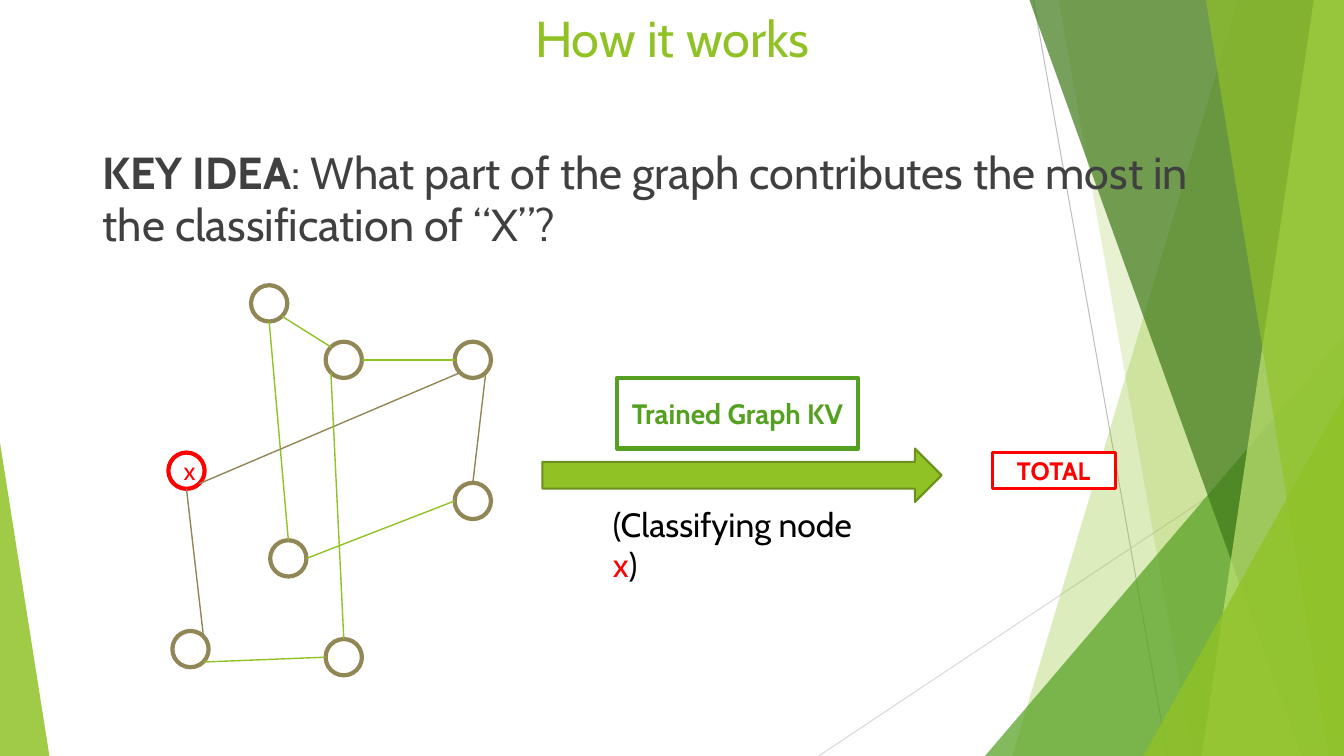
from typing import NamedTuple

from lxml import etree
from pptx import Presentation
from pptx.dml.color import RGBColor
from pptx.enum.shapes import MSO_CONNECTOR, MSO_SHAPE
from pptx.enum.text import MSO_ANCHOR, PP_ALIGN
from pptx.oxml.ns import qn
from pptx.util import Inches, Pt

STRAIGHT = MSO_CONNECTOR.STRAIGHT
TRIANGLE, OVAL = MSO_SHAPE.ISOSCELES_TRIANGLE, MSO_SHAPE.OVAL
RECTANGLE, RIGHT_ARROW = MSO_SHAPE.RECTANGLE, MSO_SHAPE.RIGHT_ARROW
TOP, MIDDLE = MSO_ANCHOR.TOP, MSO_ANCHOR.MIDDLE
LEFT, CENTER = PP_ALIGN.LEFT, PP_ALIGN.CENTER

FONT = "Cabin"
WIDTH, HEIGHT = 13.33, 7.5
COLORS = {
    "lime": "90C226", "pale": "C0E474", "green": "54A021", "forest": "3F7819",
    "olive": "918655", "moss": "6B901C", "red": "FF0000", "text": "404040",
    "black": "000000", "white": "FFFFFF", "gray": "BFBFBF", "silver": "D9D9D9",
}
DIAMETER = 0.36
DIAGONAL = 0.71
# Unit directions from a node's centre to the points where edges attach
SITES = {
    "top": (0, -1), "bottom": (0, 1), "left": (-1, 0), "right": (1, 0),
    "top left": (-DIAGONAL, -DIAGONAL), "top right": (DIAGONAL, -DIAGONAL),
    "bottom left": (-DIAGONAL, DIAGONAL), "bottom right": (DIAGONAL, DIAGONAL),
}


class Shard(NamedTuple):
    """A band that reaches from a slanted left side to the slide's right side."""
    top_x: float
    bottom_x: float
    color: str
    opacity: int


class Wedge(NamedTuple):
    """A right triangle standing on the bottom of the slide."""
    left: float
    top: float
    width: float
    apex: float
    color: str
    opacity: int


class Node(NamedTuple):
    left: float
    top: float
    color: str = "olive"


class Edge(NamedTuple):
    start: str
    start_site: str
    end: str
    end_site: str
    color: str = "lime"


class Span(NamedTuple):
    text: str
    color: str
    bold: bool = False


BACKDROP = [
    Shard(12.28, 10.04, "lime", 30),
    Shard(10.5, 11.83, "lime", 20),
    Wedge(9.77, 3.33, 3.56, 1, "green", 72),
    Shard(10.21, 12.91, "forest", 70),
    Shard(13.03, 11.92, "pale", 70),
    Shard(11.96, 13.18, "lime", 65),
    Wedge(11.34, 3.93, 1.99, 1, "lime", 80),
    Wedge(0, 4.39, 0.49, 0, "lime", 85),
]
NODES = {
    "x": Node(1.67, 4.49, "red"),
    "peak": Node(2.49, 2.83),
    "east": Node(4.51, 4.79),
    "hub": Node(3.23, 3.39),
    "southwest": Node(1.71, 6.26),
    "inner": Node(2.68, 5.36),
    "northeast": Node(4.51, 3.39),
    "south": Node(3.23, 6.34),
}
EDGES = [
    Edge("peak", "bottom", "inner", "top"),
    Edge("x", "bottom right", "northeast", "bottom left", "olive"),
    Edge("northeast", "bottom right", "east", "top", "olive"),
    Edge("southwest", "top right", "x", "bottom", "olive"),
    Edge("southwest", "bottom right", "south", "left"),
    Edge("inner", "right", "east", "left"),
    Edge("hub", "right", "northeast", "left"),
    Edge("hub", "top left", "peak", "bottom right"),
    Edge("hub", "bottom left", "south", "top"),
]


def rgb(name: str) -> RGBColor:
    return RGBColor.from_string(COLORS[name])


def paint(shape, fill: str = "", line: str = "", line_width: float = 1, opacity: int = 100) -> None:
    shape.shadow.inherit = False
    if fill:
        shape.fill.solid()
        shape.fill.fore_color.rgb = rgb(fill)
        if opacity < 100:
            color = shape.fill._xPr.find(qn("a:solidFill"))[0]
            etree.SubElement(color, qn("a:alpha"), val=str(opacity * 1000))
    else:
        shape.fill.background()
    if line:
        shape.line.color.rgb = rgb(line)
        shape.line.width = Pt(line_width)
    else:
        shape.line.fill.background()


def add_line(page, start: tuple, end: tuple, color: str, width: float) -> None:
    ends = [Inches(value) for value in (*start, *end)]
    line = page.shapes.add_connector(STRAIGHT, *ends)
    line.line.color.rgb = rgb(color)
    line.line.width = Pt(width)
    etree.SubElement(line._element.spPr, qn("a:effectLst"))


def add_shape(page, kind, left: float, top: float, width: float, height: float):
    return page.shapes.add_shape(kind, Inches(left), Inches(top), Inches(width), Inches(height))


def write(box, spans: list[Span], size: float, align=CENTER, anchor=MIDDLE, spacing: float = 1) -> None:
    frame = box.text_frame
    frame.word_wrap = True
    frame.vertical_anchor = anchor
    para = frame.paragraphs[0]
    para.alignment = align
    para.line_spacing = spacing
    para.font.name = FONT
    para.font.size = Pt(size)
    for span in spans:
        run = para.add_run()
        run.text = span.text
        run.font.bold = span.bold
        run.font.color.rgb = rgb(span.color)


def add_text(page, left: float, top: float, width: float, height: float,
             spans: list[Span], size: float, align=LEFT, spacing: float = 1) -> None:
    box = page.shapes.add_textbox(Inches(left), Inches(top), Inches(width), Inches(height))
    write(box, spans, size, align, TOP, spacing)


def add_backdrop(page) -> None:
    add_line(page, (10.25, 0), (11.58, HEIGHT), "gray", 0.75)
    add_line(page, (WIDTH, 4.03), (8.12, HEIGHT), "silver", 0.75)
    for part in BACKDROP:
        if isinstance(part, Shard):
            builder = page.shapes.build_freeform(Inches(part.top_x), 0)
            corners = [(WIDTH, 0), (WIDTH, HEIGHT), (part.bottom_x, HEIGHT)]
            builder.add_line_segments([(Inches(x), Inches(y)) for x, y in corners])
            shape = builder.convert_to_shape()
        else:
            shape = add_shape(page, TRIANGLE, part.left, part.top, part.width, HEIGHT - part.top)
            shape.adjustments[0] = part.apex
        paint(shape, part.color, opacity=part.opacity)


def site_point(node: Node, site: str) -> tuple:
    radius = DIAMETER / 2
    across, down = SITES[site]
    return node.left + radius * (1 + across), node.top + radius * (1 + down)


def add_graph(page) -> None:
    for name, node in NODES.items():
        circle = add_shape(page, OVAL, node.left, node.top, DIAMETER, DIAMETER)
        paint(circle, line=node.color, line_width=3)
        if name == "x":
            write(circle, [Span("x", "red")], 18)
    for edge in EDGES:
        start = site_point(NODES[edge.start], edge.start_site)
        end = site_point(NODES[edge.end], edge.end_site)
        add_line(page, start, end, edge.color, 1)


def add_process(page) -> None:
    arrow = add_shape(page, RIGHT_ARROW, 5.38, 4.45, 3.96, 0.53)
    paint(arrow, "lime", "moss", 1.5)
    model = add_shape(page, RECTANGLE, 6.12, 3.75, 2.39, 0.7)
    paint(model, line="green", line_width=3)
    write(model, [Span("Trained Graph KV", "green", True)], 20)
    caption = [Span("(Classifying node ", "black"), Span("x", "red"), Span(")", "black")]
    add_text(page, 5.98, 4.95, 2.83, 0.5, caption, 24)
    total = add_shape(page, RECTANGLE, 9.84, 4.49, 1.22, DIAMETER)
    paint(total, "white", "red", 2.25)
    write(total, [Span("TOTAL", "red", True)], 18)


def main() -> None:
    deck = Presentation()
    deck.slide_width, deck.slide_height = Inches(WIDTH), Inches(HEIGHT)
    page = deck.slides.add_slide(deck.slide_layouts[6])
    add_backdrop(page)
    # Title and key idea
    add_text(page, 0.92, 0.02, 11.5, 1.45, [Span("How it works", "lime")], 36, CENTER)
    idea = [Span("KEY IDEA", "text", True),
            Span(": What part of the graph contributes the most in the classification of “X”?", "text")]
    add_text(page, 0.92, 1.43, 11.3, 1.09, idea, 32, spacing=0.95)
    # Graph on the left, classification on the right
    add_graph(page)
    add_process(page)
    deck.save("out.pptx")


if __name__ == "__main__":
    main()
